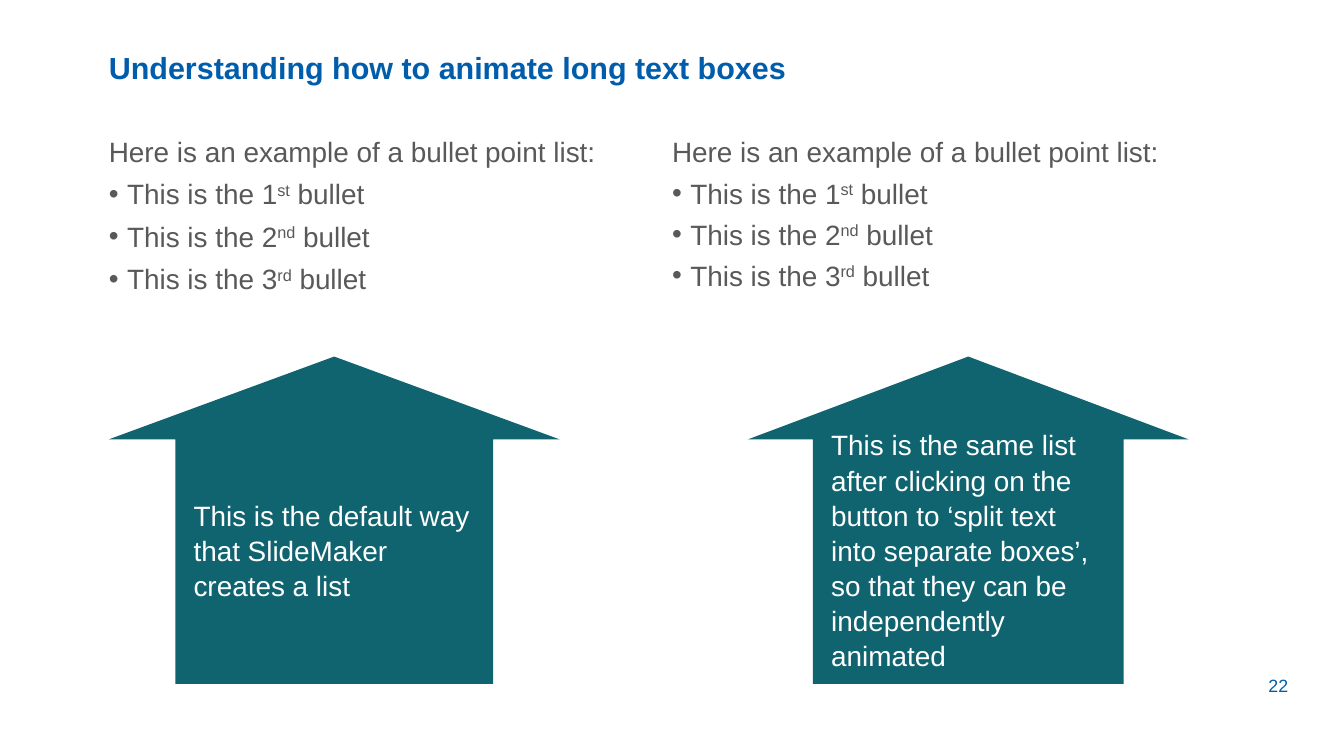
from dataclasses import dataclass

from lxml.etree import SubElement
from pptx import Presentation
from pptx.dml.color import RGBColor
from pptx.enum.shapes import MSO_SHAPE
from pptx.enum.text import MSO_ANCHOR as Anchor, MSO_AUTO_SIZE as AutoSize, PP_ALIGN as Align
from pptx.oxml.ns import qn
from pptx.util import Pt


@dataclass(frozen=True)
class Theme:
    face: str = "Arial"
    blue: RGBColor = RGBColor(0x00, 0x5D, 0xAB)
    grey: RGBColor = RGBColor(0x59, 0x59, 0x59)
    teal: RGBColor = RGBColor(0x10, 0x64, 0x70)
    white: RGBColor = RGBColor(0xFF, 0xFF, 0xFF)
    title_size: int = 24
    text_size: int = 22
    number_size: int = 14
    line_spacing: float = 1.05
    gap: float = 5.8
    indent: float = 14.4


THEME = Theme()
LEFT, RIGHT = 85.7, 529.2
LIST_TOP, LIST_WIDTH = 104.4, 406.8
LEAD_HEIGHT, BULLET_HEIGHT = 27.2, 32.4
ARROW_TOP, ARROW_HEIGHT = 280.8, 257.8
LEAD = "Here is an example of a bullet point list:"
ORDINALS = [("1", "st"), ("2", "nd"), ("3", "rd")]


def place(shape, left, top, width, height):
    shape.left, shape.top, shape.width, shape.height = map(Pt, (left, top, width, height))


def set_frame(frame, anchor=Anchor.TOP, insets=(0, 0, 0, 0), wrap=True):
    frame.word_wrap = wrap
    frame.auto_size = AutoSize.NONE
    frame.vertical_anchor = anchor
    (frame.margin_left, frame.margin_top,
     frame.margin_right, frame.margin_bottom) = map(Pt, insets)


def style(paragraph, size, color, bold=False, align=Align.LEFT, before=0):
    paragraph.alignment = align
    paragraph.line_spacing = THEME.line_spacing
    paragraph.space_before = Pt(before)
    for run in paragraph.runs:
        run.font.name = THEME.face
        run.font.size = Pt(size)
        run.font.bold = bold
        run.font.color.rgb = color


def set_bullet(paragraph, char=None):
    """Hang the paragraph on a bullet, or clear its bullet and indent."""
    indent = Pt(THEME.indent) if char else 0
    properties = paragraph._p.get_or_add_pPr()
    properties.set("marL", str(indent))
    properties.set("indent", str(-indent))
    if char:
        SubElement(properties, qn("a:buFont"), typeface=THEME.face)
        SubElement(properties, qn("a:buChar"), char=char)
    else:
        SubElement(properties, qn("a:buNone"))


def write_lead(paragraph):
    paragraph.text = LEAD
    set_bullet(paragraph)
    style(paragraph, THEME.text_size, THEME.grey)


def write_bullet(paragraph, number, suffix, before=0):
    set_bullet(paragraph, "•")
    for words in (f"This is the {number}", suffix, " bullet"):
        paragraph.add_run().text = words
    style(paragraph, THEME.text_size, THEME.grey, before=before)
    paragraph.runs[1].font._element.set("baseline", "30000")


def add_text_box(slide, left, top, width, height, top_inset=0, wrap=True):
    box = slide.shapes.add_textbox(*map(Pt, (left, top, width, height)))
    set_frame(box.text_frame, insets=(0, top_inset, 0, 0), wrap=wrap)
    return box.text_frame.paragraphs[0]


def write_title(title, words):
    place(title, LEFT, 38.9, 948.2, 34.6)
    title.text_frame.text = words
    set_frame(title.text_frame, Anchor.BOTTOM, (0, 0, 0, THEME.gap))
    style(title.text_frame.paragraphs[0], THEME.title_size, THEME.blue, bold=True)


def write_whole_list(body):
    place(body, LEFT, LIST_TOP, LIST_WIDTH, 124.6)
    frame = body.text_frame
    set_frame(frame)
    write_lead(frame.paragraphs[0])
    for number, suffix in ORDINALS:
        write_bullet(frame.add_paragraph(), number, suffix, THEME.gap)


def add_split_list(slide):
    write_lead(add_text_box(slide, RIGHT, LIST_TOP, LIST_WIDTH, LEAD_HEIGHT))
    for row, (number, suffix) in enumerate(ORDINALS):
        top = LIST_TOP + LEAD_HEIGHT + row * BULLET_HEIGHT
        bullet = add_text_box(slide, RIGHT, top, LIST_WIDTH, BULLET_HEIGHT, THEME.gap)
        write_bullet(bullet, number, suffix)


def add_arrow(slide, left, width, words):
    arrow = slide.shapes.add_shape(
        MSO_SHAPE.UP_ARROW, *map(Pt, (left, ARROW_TOP, width, ARROW_HEIGHT)))
    arrow.adjustments[0], arrow.adjustments[1] = 0.705, 0.253
    arrow.shadow.inherit = False
    arrow.fill.solid()
    arrow.fill.fore_color.rgb = THEME.teal
    arrow.line.fill.background()
    arrow.text_frame.text = words
    set_frame(arrow.text_frame, Anchor.MIDDLE, (14.4, 3.6, 14.4, 3.6))
    style(arrow.text_frame.paragraphs[0], THEME.text_size, THEME.white)


def add_slide_number(slide, number):
    paragraph = add_text_box(slide, 997.2, 530.6, 17.3, 17.3, wrap=False)
    paragraph.text = number
    style(paragraph, THEME.number_size, THEME.blue, align=Align.RIGHT)


def main():
    deck = Presentation()
    deck.slide_width, deck.slide_height = Pt(1058.4), Pt(595.4)
    slide = deck.slides.add_slide(deck.slide_layouts[1])

    # Title and page number
    write_title(slide.shapes.title, "Understanding how to animate long text boxes")
    add_slide_number(slide, "22")

    # One list in a single box, and the same list split into boxes
    write_whole_list(slide.placeholders[1])
    add_split_list(slide)

    # Explanations pointing up at each list
    add_arrow(slide, LEFT, 355, "This is the default way that SlideMaker creates a list")
    add_arrow(slide, 589, 347,
              "This is the same list after clicking on the button to ‘split text into "
              "separate boxes’, so that they can be independently animated")

    deck.save("out.pptx")


if __name__ == "__main__":
    main()
